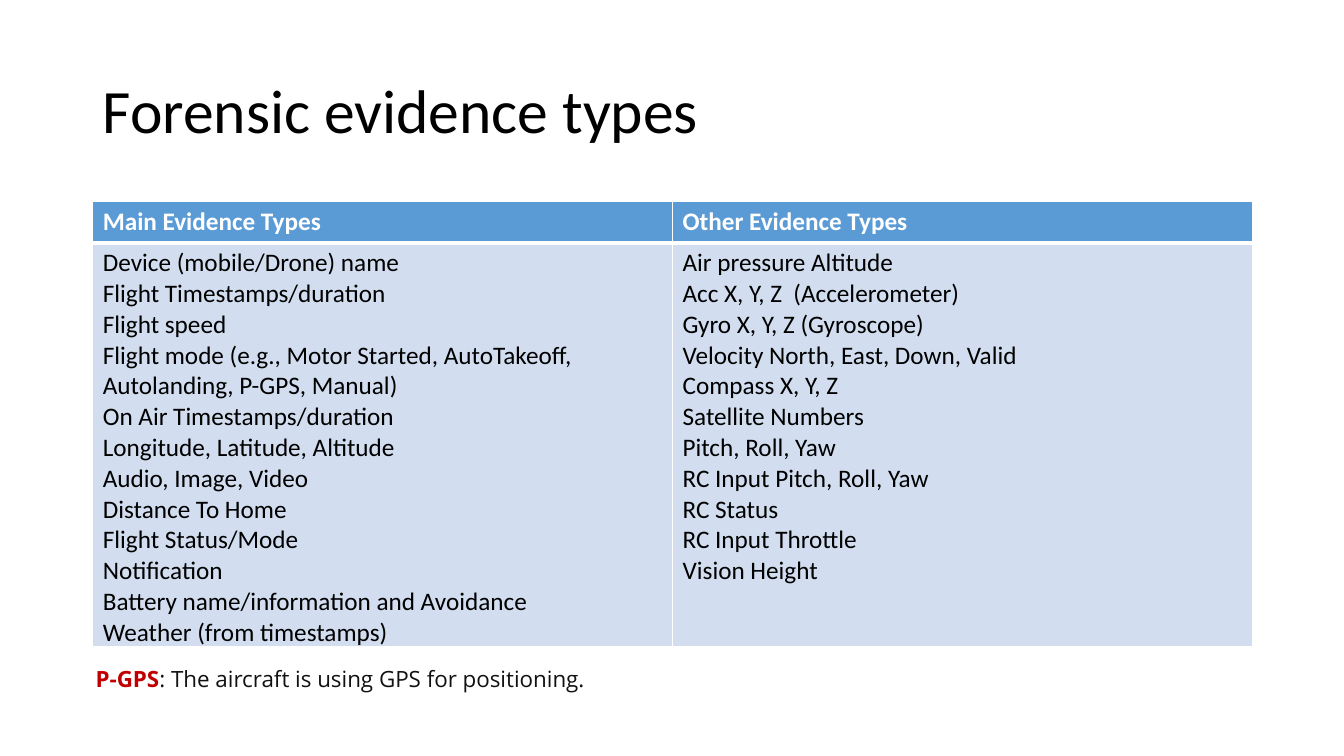
"""Build the slide on forensic evidence types."""
from lxml.etree import SubElement
from pptx import Presentation
from pptx.dml.color import RGBColor as RGB
from pptx.enum.text import MSO_ANCHOR as Anchor
from pptx.oxml.ns import qn
from pptx.util import Inches, Pt

BLACK = RGB(0, 0, 0)
WHITE = RGB(255, 255, 255)
BLUE = RGB(0x5B, 0x9B, 0xD5)
PALE = RGB(0xD2, 0xDE, 0xEF)
RED = RGB(0xC0, 0, 0)
INK = RGB(0x11, 0x11, 0x11)

MAIN = [
    "Device (mobile/Drone) name",
    "Flight Timestamps/duration",
    "Flight speed",
    "Flight mode (e.g., Motor Started, AutoTakeoff, Autolanding, P-GPS, Manual)",
    "On Air Timestamps/duration",
    "Longitude, Latitude, Altitude",
    "Audio, Image, Video",
    "Distance To Home",
    "Flight Status/Mode",
    "Notification",
    "Battery name/information and Avoidance",
    "Weather (from timestamps)",
]
OTHER = [
    "Air pressure Altitude",
    "Acc X, Y, Z  (Accelerometer)",
    "Gyro X, Y, Z (Gyroscope)",
    "Velocity North, East, Down, Valid",
    "Compass X, Y, Z",
    "Satellite Numbers",
    "Pitch, Roll, Yaw",
    "RC Input Pitch, Roll, Yaw",
    "RC Status",
    "RC Input Throttle",
    "Vision Height",
]
ROWS = [
    (0.41, BLUE, WHITE, True, [["Main Evidence Types"], ["Other Evidence Types"]]),
    (4, PALE, BLACK, False, [MAIN, OTHER]),
]


def add_run(para, text, size, color, bold=False, face="Calibri"):
    run = para.add_run()
    run.text = text
    run.font.name = face
    run.font.size = Pt(size)
    run.font.bold = bold
    run.font.color.rgb = color


def add_edge(cell, side, width):
    line = SubElement(cell._tc.get_or_add_tcPr(), qn(f"a:ln{side}"), w=str(Pt(width)))
    fill = SubElement(line, qn("a:solidFill"))
    SubElement(fill, qn("a:srgbClr"), val=str(WHITE))


deck = Presentation()
deck.slide_width, deck.slide_height = Inches(13.33), Inches(7.5)
slide = deck.slides.add_slide(deck.slide_layouts[6])
shapes = slide.shapes

title = shapes.add_textbox(Inches(0.92), Inches(0.4), Inches(11.5), Inches(1.45)).text_frame
title.word_wrap = True
title.vertical_anchor = Anchor.MIDDLE
title.paragraphs[0].line_spacing = 0.9
add_run(title.paragraphs[0], "Forensic evidence types", 44, BLACK)

table = shapes.add_table(2, 2, Inches(0.92), Inches(2), Inches(11.5), Inches(4.41)).table
for r, (height, fill, color, bold, texts) in enumerate(ROWS):
    table.rows[r].height = Inches(height)
    for c, lines in enumerate(texts):
        cell = table.cell(r, c)
        for side in "LRTB":
            add_edge(cell, side, 3 if (r, side) in [(0, "B"), (1, "T")] else 1)
        cell.fill.solid()
        cell.fill.fore_color.rgb = fill
        frame = cell.text_frame
        for i, line in enumerate(lines):
            para = frame.add_paragraph() if i else frame.paragraphs[0]
            add_run(para, line, 18, color, bold)

note = shapes.add_textbox(Inches(0.85), Inches(6.55), Inches(6.75), Inches(0.37)).text_frame
note.word_wrap = True
add_run(note.paragraphs[0], "P-GPS", 16, RED, True, "Open Sans")
add_run(note.paragraphs[0], ": The aircraft is using GPS for positioning.", 16, INK, False, "Open Sans")

deck.save("out.pptx")
